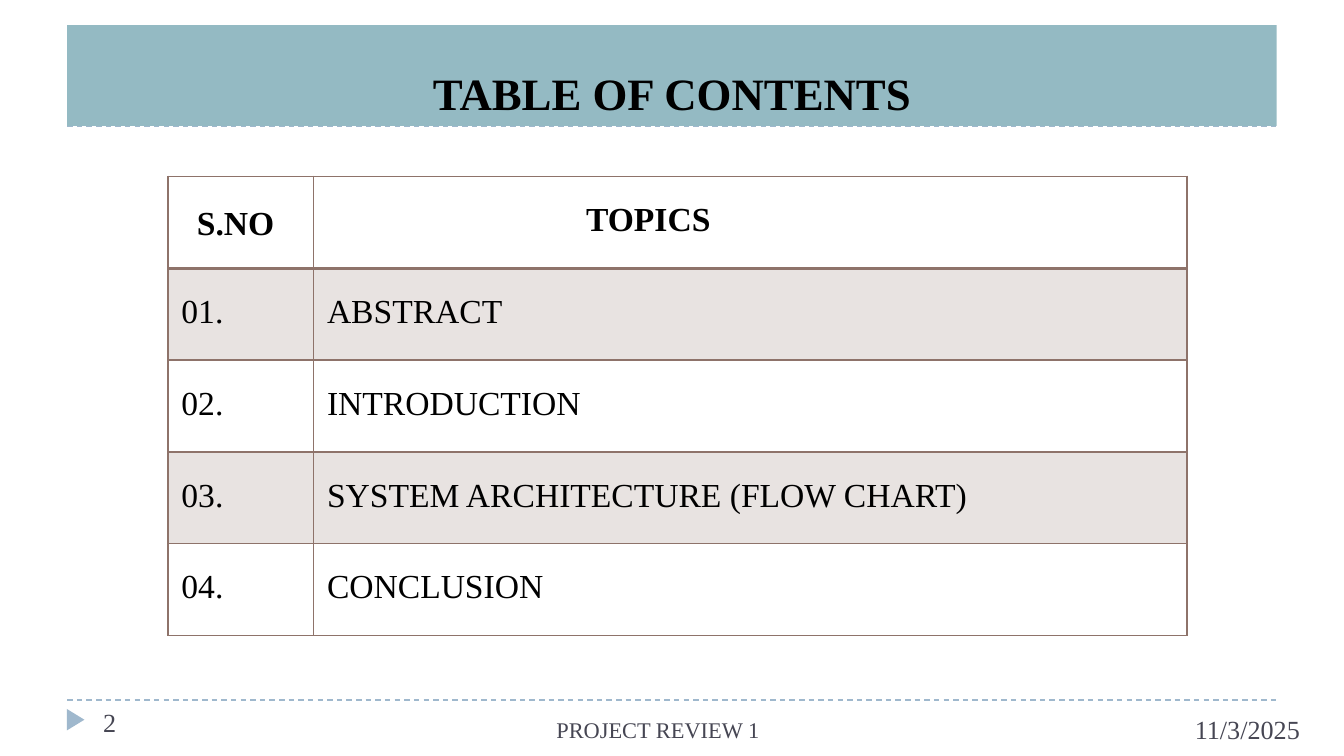
"""Build a table of contents slide with a title bar, a ruled table and a footer."""
from dataclasses import dataclass

from lxml.etree import SubElement
from pptx import Presentation
from pptx.dml.color import RGBColor as Rgb
from pptx.enum.dml import MSO_LINE as Dash
from pptx.enum.shapes import MSO_CONNECTOR as Link, MSO_SHAPE as Form
from pptx.enum.text import MSO_ANCHOR as Anchor, PP_ALIGN as Align
from pptx.oxml.ns import qn
from pptx.util import Pt

HUES = {"ink": "000000", "foot": "464653", "rule": "9FB8CD",
        "bar": "94BAC3", "edge": "8E736A", "band": "E8E3E1"}
FONT = "Times New Roman"


@dataclass
class Box:
    x: float
    y: float
    w: float
    h: float


@dataclass
class Note:
    text: str
    box: Box
    size: float
    align: Align = Align.LEFT


@dataclass
class Row:
    num: str
    topic: str


NOTES = [
    Note("PROJECT REVIEW 1", Box(12.25, 380.2, 401.75, 21.6), 12, Align.RIGHT),
    Note("2", Box(48.25, 375.1, 156.25, 21.6), 14),
    Note("11/3/2025", Box(633, 378.7, 180, 21.6), 14),
]
ROWS = [
    Row("S.NO", "TOPICS"),
    Row("01.", "ABSTRACT"),
    Row("02.", "INTRODUCTION"),
    Row("03.", "SYSTEM ARCHITECTURE (FLOW CHART)"),
    Row("04.", "CONCLUSION"),
]
GRID = Box(90, 94.5, 546, 246)
COLS = (78, 468)
HEAD_PADS = (15.5, 146)


def hue(name: str) -> Rgb:
    return Rgb.from_string(HUES[name])


def span(box: Box) -> tuple:
    return Pt(box.x), Pt(box.y), Pt(box.w), Pt(box.h)


def write(frame, text: str, *, size: float = 18, color: str = "ink",
          bold: bool = False, align: Align = Align.LEFT,
          space: float = 1.0) -> None:
    para = frame.paragraphs[0]
    para.alignment = align
    para.line_spacing = space
    run = para.add_run()
    run.text = text
    font = run.font
    font.name, font.size, font.bold = FONT, Pt(size), bold
    font.color.rgb = hue(color)


def add_rule(slide, y: float) -> None:
    rule = slide.shapes.add_connector(
        Link.STRAIGHT, Pt(36), Pt(y), Pt(684), Pt(y))
    rule.line.color.rgb = hue("rule")
    rule.line.width = Pt(0.75)
    rule.line.dash_style = Dash.DASH
    SubElement(rule._element.spPr, qn("a:effectLst"))


def add_form(slide, form: Form, box: Box, color: str):
    shape = slide.shapes.add_shape(form, *span(box))
    shape.shadow.inherit = False
    shape.fill.solid()
    shape.fill.fore_color.rgb = hue(color)
    shape.line.fill.background()
    return shape


def add_note(slide, note: Note) -> None:
    frame = slide.shapes.add_textbox(*span(note.box)).text_frame
    frame.word_wrap = True
    write(frame, note.text, size=note.size, color="foot", align=note.align)


def edge(cell, side: str, width: float) -> None:
    line = SubElement(cell._tc.get_or_add_tcPr(), qn(f"a:{side}"),
                      w=str(Pt(width)))
    fill = SubElement(line, qn("a:solidFill"))
    SubElement(fill, qn("a:srgbClr"), val=HUES["edge"])


def add_grid(slide) -> None:
    table = slide.shapes.add_table(len(ROWS), len(COLS), *span(GRID)).table
    table.horz_banding = False
    table.first_row = False
    for col, width in zip(table.columns, COLS):
        col.width = Pt(width)
    for r, row in enumerate(ROWS):
        table.rows[r].height = Pt(GRID.h / len(ROWS))
        for c, text in enumerate((row.num, row.topic)):
            cell = table.cell(r, c)
            head = r == 0
            if head:
                cell.margin_left = Pt(HEAD_PADS[c])
                cell.margin_top = Pt(3.6 if c else 5.6)
            write(cell.text_frame, text, bold=head, space=1.5)
            for side in ("lnL", "lnR", "lnT", "lnB"):
                thick = (head and side == "lnB") or (r == 1 and side == "lnT")
                edge(cell, side, 2 if thick else 1)
            if r % 2:
                cell.fill.solid()
                cell.fill.fore_color.rgb = hue("band")
            else:
                cell.fill.background()


def main() -> None:
    deck = Presentation()
    deck.slide_width, deck.slide_height = Pt(720), Pt(405)
    slide = deck.slides.add_slide(deck.slide_layouts[6])
    for y in (375, 67.5):
        add_rule(slide, y)
    mark = add_form(slide, Form.ISOSCELES_TRIANGLE,
                    Box(34.75, 380.9, 11.5, 9.4), "rule")
    mark.rotation = 90
    bar = add_form(slide, Form.RECTANGLE, Box(36, 13.5, 648, 54), "bar")
    bar.text_frame.vertical_anchor = Anchor.BOTTOM
    write(bar.text_frame, "TABLE OF CONTENTS", size=24, bold=True,
          align=Align.CENTER)
    add_grid(slide)
    for note in NOTES:
        add_note(slide, note)
    deck.save("out.pptx")


if __name__ == "__main__":
    main()
